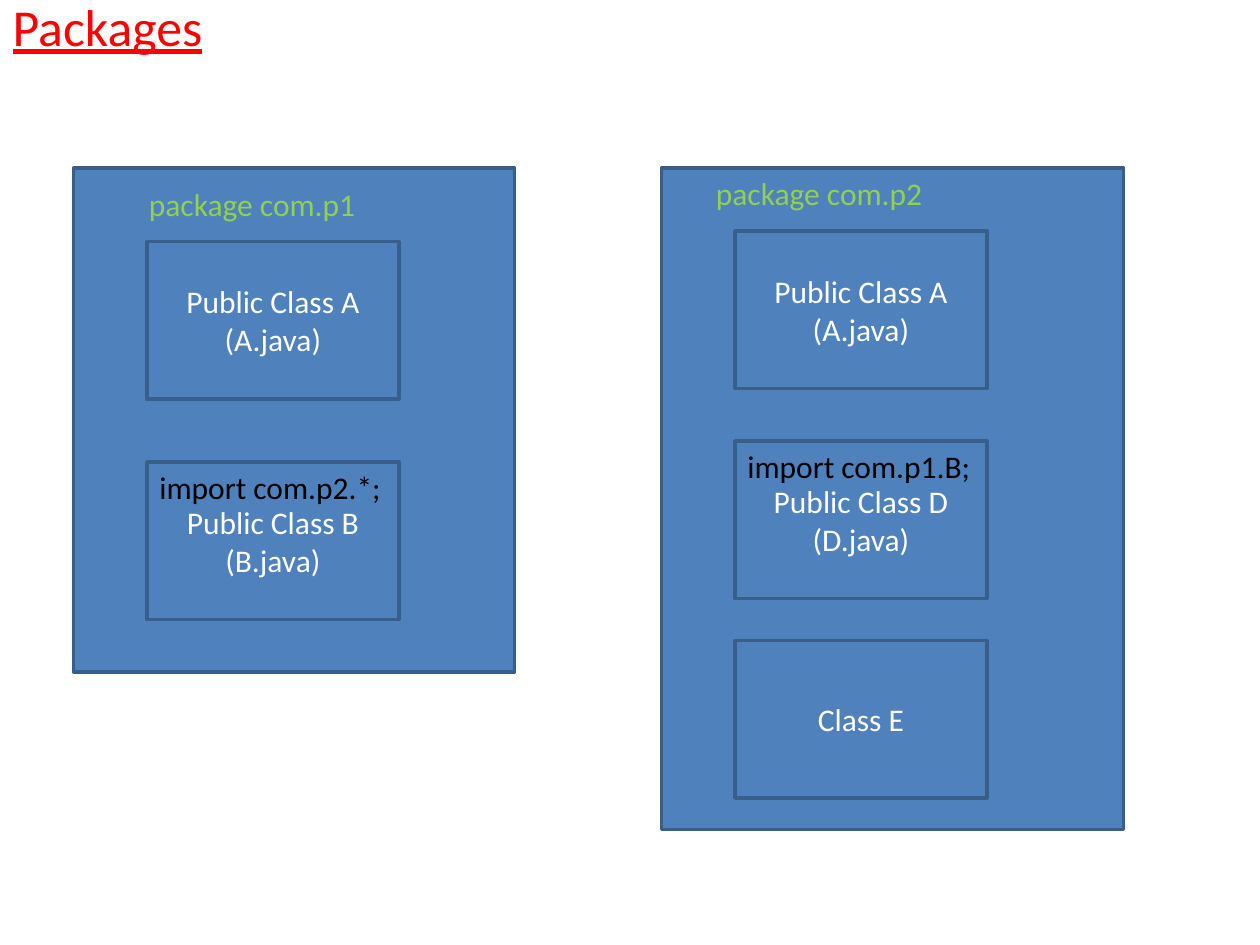
"""Build a slide showing two Java packages, their classes and their imports."""
from pptx import Presentation
from pptx.dml.color import RGBColor
from pptx.enum import shapes, text
from pptx.util import Pt

RED = RGBColor(0xFF, 0x00, 0x00)
BLUE = RGBColor(0x4F, 0x81, 0xBD)
NAVY = RGBColor(0x39, 0x5E, 0x89)
GREEN = RGBColor(0x92, 0xD0, 0x50)
WHITE = RGBColor(0xFF, 0xFF, 0xFF)
BLACK = RGBColor(0x00, 0x00, 0x00)

CLASS_WIDTH, CLASS_HEIGHT = 144, 90
LABEL_HEIGHT = 28.8

PACKAGES = [
    {
        "frame": (42, 96, 252, 288),
        "label": ("package com.p1", 78, 102),
        "class_left": 84,
        "classes": [
            (138, ["Public Class A", "(A.java)"], None),
            (264, ["Public Class B", "(B.java)"], "import com.p2.*;"),
        ],
    },
    {
        "frame": (378, 96, 264, 378),
        "label": ("package com.p2", 402, 96),
        "class_left": 420,
        "classes": [
            (132, ["Public Class A", "(A.java)"], None),
            (252, ["Public Class D", "(D.java)"], "import com.p1.B;"),
            (366, ["Class E"], None),
        ],
    },
]


def write(shape, lines, color, size=18, align=text.PP_ALIGN.LEFT,
          anchor=text.MSO_ANCHOR.TOP, underline=None, spacing=None):
    frame = shape.text_frame
    frame.word_wrap = True
    frame.auto_size = text.MSO_AUTO_SIZE.NONE
    frame.vertical_anchor = anchor
    frame.text = "\n".join(lines)
    for para in frame.paragraphs:
        para.alignment = align
        para.line_spacing = spacing
        for span in para.runs:
            span.font.name = "Calibri"
            span.font.size = Pt(size)
            span.font.underline = underline
            span.font.color.rgb = color


def add_box(page, left, top, width, height):
    box = page.shapes.add_shape(shapes.MSO_SHAPE.RECTANGLE,
                                Pt(left), Pt(top), Pt(width), Pt(height))
    box.shadow.inherit = False
    box.fill.solid()
    box.fill.fore_color.rgb = BLUE
    box.line.color.rgb = NAVY
    box.line.width = Pt(2)
    return box


deck = Presentation()
deck.slide_width, deck.slide_height = Pt(720), Pt(540)
page = deck.slides.add_slide(deck.slide_layouts[5])

title = page.shapes.title
title.left, title.top, title.width, title.height = Pt(0), Pt(0), Pt(678), Pt(36)
write(title, ["Packages"], RED, size=29.6, align=text.PP_ALIGN.JUSTIFY,
      underline=True, spacing=0.8)

for package in PACKAGES:
    add_box(page, *package["frame"])
    name, left, top = package["label"]
    label = page.shapes.add_textbox(Pt(left), Pt(top), Pt(216), Pt(LABEL_HEIGHT))
    write(label, [name], GREEN)

    left = package["class_left"]
    for top, lines, statement in package["classes"]:
        box = add_box(page, left, top, CLASS_WIDTH, CLASS_HEIGHT)
        write(box, lines, WHITE, align=text.PP_ALIGN.CENTER,
              anchor=text.MSO_ANCHOR.MIDDLE)
        if statement:
            note = page.shapes.add_textbox(Pt(left), Pt(top), Pt(150), Pt(LABEL_HEIGHT))
            write(note, [statement], BLACK)

deck.save("out.pptx")
